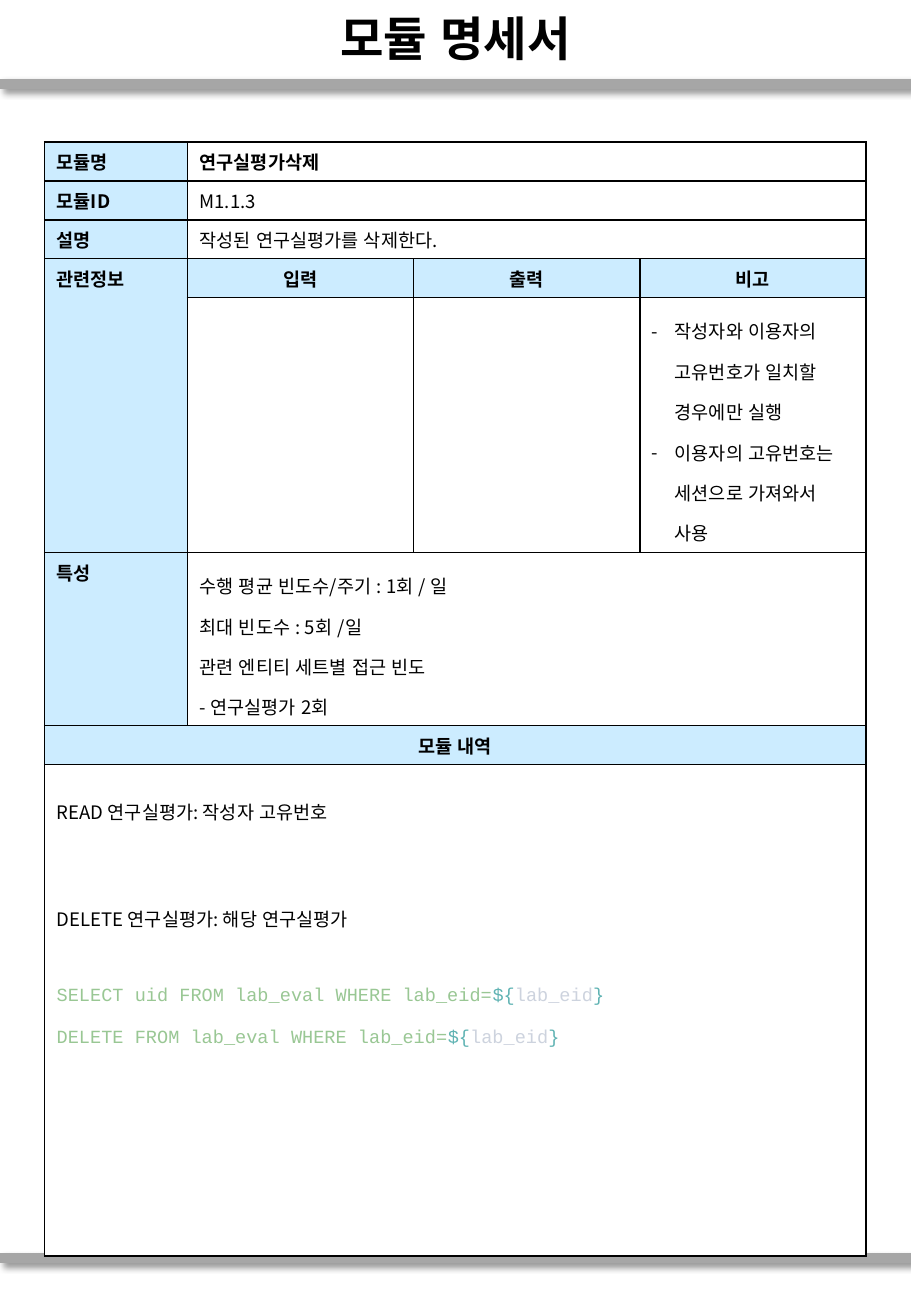
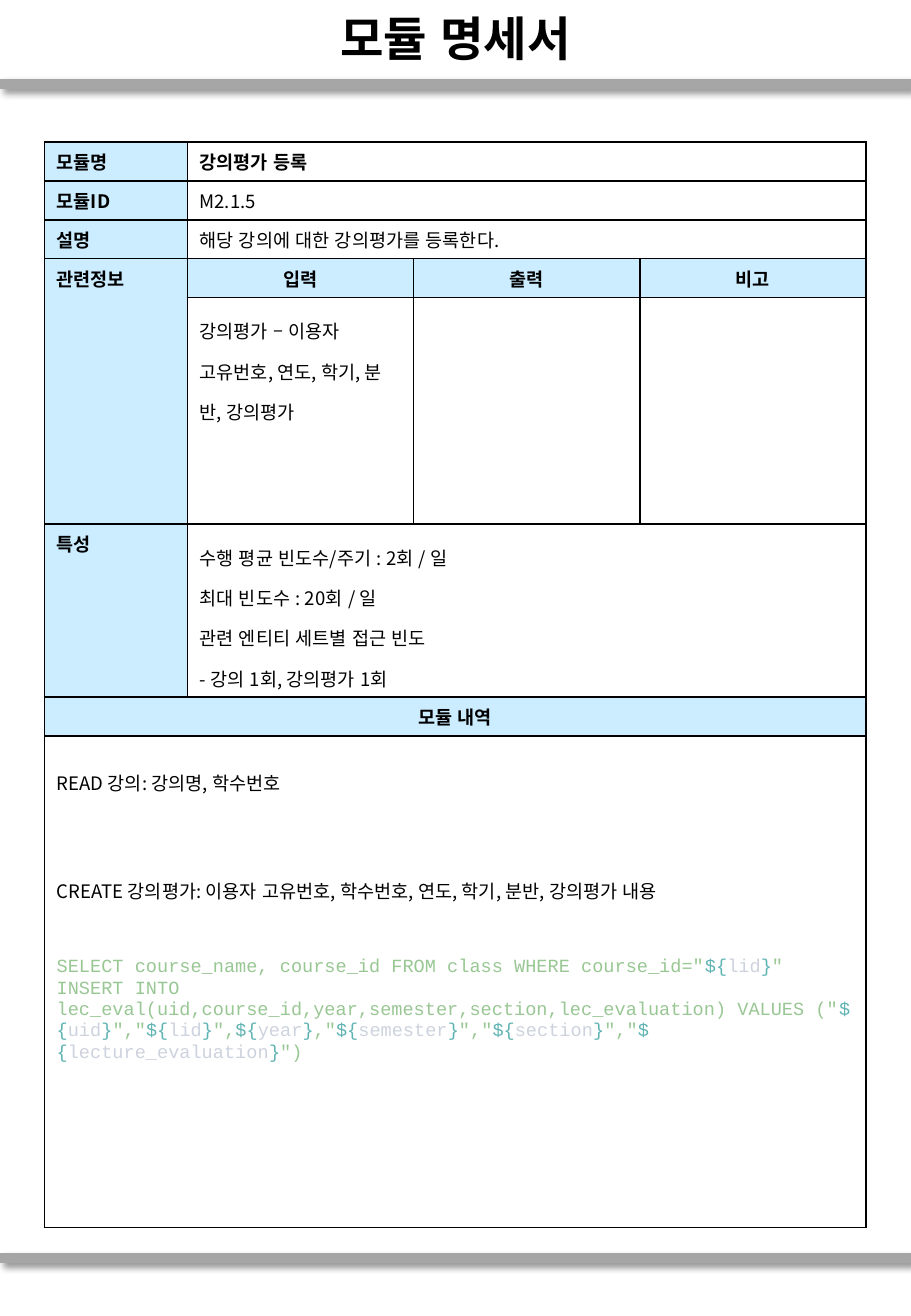
from dataclasses import dataclass

import pptx
import pptx.dml.color
import pptx.enum.lang
import pptx.enum.shapes
import pptx.enum.text
import pptx.oxml
import pptx.oxml.ns
import pptx.util

Pt = pptx.util.Pt
RGBColor = pptx.dml.color.RGBColor
Align = pptx.enum.text.PP_ALIGN
Anchor = pptx.enum.text.MSO_ANCHOR
KOREAN = pptx.enum.lang.MSO_LANGUAGE_ID.KOREAN

# Shared look
BLACK = RGBColor(0x00, 0x00, 0x00)
WHITE = RGBColor(0xFF, 0xFF, 0xFF)
BAND_GREY = RGBColor(0xA6, 0xA6, 0xA6)
LABEL_BLUE = RGBColor(0xCC, 0xEC, 0xFF)
CODE_GREEN = RGBColor(0x99, 0xC7, 0x94)
CODE_TEAL = RGBColor(0x5F, 0xB3, 0xB3)
CODE_GREY = RGBColor(0xCD, 0xD3, 0xDE)
FONT = "Noto Sans CJK KR"
CODE_FONT = "Courier New"
TEXT_SIZE = 11
SLIDE_W, SLIDE_H = 540, 779.76
BAND_YS = (49.7, 745.6)
TABLE_LEFT, TABLE_TOP = 26.4, 84.1
COL_WIDTHS = (84.7, 134.1, 134.1, 134.1)
LINE_ROW = 23.1
DOUBLE_LINE = 31.9  # one line at double spacing
CODE_LINE = 12.4
NS = pptx.oxml.ns.nsdecls("a")


@dataclass(frozen=True)
class Para:
    text: str
    bold: bool = False
    align: Align = Align.LEFT
    spacing: float = 1.0
    before: float = 0
    bullet: bool = False
    code: bool = False


@dataclass(frozen=True)
class Module:
    name: str
    code_id: str
    description: str
    info_height: float
    inputs: list[Para]
    outputs: list[Para]
    remarks: list[Para]
    traits: list[str]
    details: list[Para]


def step(text: str, before: float = 0) -> Para:
    return Para(text, spacing=2, before=before)


def code(text: str, before: float = 0) -> Para:
    return Para(text, before=before, code=True)


def label(text: str, align: Align = Align.LEFT) -> list[Para]:
    return [Para(text, bold=True, align=align)]


MODULES = [
    Module(
        "연구실평가삭제", "M1.1.3", "작성된 연구실평가를 삭제한다.",
        info_height=151,
        inputs=[], outputs=[],
        remarks=[
            Para("작성자와 이용자의 고유번호가 일치할 경우에만 실행", spacing=1.5, bullet=True),
            Para("이용자의 고유번호는 세션으로 가져와서 사용", spacing=1.5, bullet=True),
        ],
        traits=["수행 평균 빈도수/주기 : 1회 / 일", "최대 빈도수 : 5회 /일",
                "관련 엔티티 세트별 접근 빈도", "- 연구실평가 2회"],
        details=[
            step("READ 연구실평가: 작성자 고유번호"),
            step("DELETE 연구실평가: 해당 연구실평가", DOUBLE_LINE),
            code("SELECT uid FROM lab_eval WHERE lab_eid=${lab_eid}", DOUBLE_LINE),
            code("DELETE FROM lab_eval WHERE lab_eid=${lab_eid}", CODE_LINE),
        ],
    ),
    Module(
        "강의평가 등록", "M2.1.5", "해당 강의에 대한 강의평가를 등록한다.",
        info_height=134,
        inputs=[Para("강의평가 – 이용자 고유번호, 연도, 학기, 분반, 강의평가", spacing=1.5)],
        outputs=[], remarks=[],
        traits=["수행 평균 빈도수/주기 : 2회 / 일", "최대 빈도수 : 20회 / 일",
                "관련 엔티티 세트별 접근 빈도", "- 강의 1회, 강의평가 1회"],
        details=[
            step("READ 강의: 강의명, 학수번호"),
            step("CREATE 강의평가: 이용자 고유번호, 학수번호, 연도, 학기, 분반, 강의평가 내용",
                 DOUBLE_LINE),
            code('SELECT course_name, course_id FROM class WHERE course_id="${lid}"', DOUBLE_LINE),
            code("INSERT INTO lec_eval(uid,course_id,year,semester,section,lec_evaluation) "
                 'VALUES ("${uid}","${lid}",${year},"${semester}","${section}",'
                 '"${lecture_evaluation}")'),
        ],
    ),
]


# Text
def add_run(p, text: str, size: float, color: RGBColor = BLACK,
            bold: bool = False, font: str = FONT) -> None:
    r = p.add_run()
    r.text = text
    r.font.size = Pt(size)
    r.font.bold = bold
    r.font.name = font
    r.font.language_id = KOREAN
    r.font.color.rgb = color
    r.font._element.append(pptx.oxml.parse_xml(f'<a:ea {NS} typeface="{FONT}"/>'))


def split_code(text: str) -> list[tuple[str, RGBColor]]:
    """Colour each ${name} apart from the statement around it."""
    head, *rest = text.split("${")
    parts = [(head, CODE_GREEN)]
    for piece in rest:
        name, _, tail = piece.partition("}")
        parts += [("${", CODE_TEAL), (name, CODE_GREY), ("}", CODE_TEAL), (tail, CODE_GREEN)]
    return [part for part in parts if part[0]]


def write(tf, paras: list[Para], size: float = TEXT_SIZE) -> None:
    for i, para in enumerate(paras):
        p = tf.add_paragraph() if i else tf.paragraphs[0]
        if para.bullet:
            pPr = p._p.get_or_add_pPr()
            pPr.set("marL", str(Pt(13.5)))
            pPr.set("indent", str(-Pt(13.5)))
            pPr.append(pptx.oxml.parse_xml(f'<a:buFont {NS} typeface="{FONT}"/>'))
            pPr.append(pptx.oxml.parse_xml(f'<a:buChar {NS} char="-"/>'))
        p.alignment = para.align
        p.line_spacing = para.spacing
        if para.before:
            p.space_before = Pt(para.before)
        if para.code:
            for text, color in split_code(para.text):
                add_run(p, text, size, color, font=CODE_FONT)
        else:
            add_run(p, para.text, size, bold=para.bold)


# Title and bands
def add_band(s, y: float) -> None:
    band = s.shapes.add_connector(pptx.enum.shapes.MSO_CONNECTOR.STRAIGHT,
                                  Pt(0), Pt(y), Pt(SLIDE_W), Pt(y))
    band.line.color.rgb = BAND_GREY
    band.line.width = Pt(6)
    band._element.spPr.append(pptx.oxml.parse_xml(
        f'<a:effectLst {NS}><a:outerShdw blurRad="{Pt(4)}" dist="{Pt(3)}" dir="2700000" '
        'algn="tl" rotWithShape="0"><a:srgbClr val="000000"><a:alpha val="40000"/>'
        '</a:srgbClr></a:outerShdw></a:effectLst>'))


def add_frame(s) -> None:
    for y in BAND_YS:
        add_band(s, y)
    sp = s.shapes.add_textbox(Pt(0), Pt(0.7), Pt(SLIDE_W), Pt(43.2))
    tf = sp.text_frame
    tf.word_wrap = True
    tf.vertical_anchor = Anchor.MIDDLE
    write(tf, label("모듈 명세서", Align.CENTER), 28)


# Table
def style_cell(cell, fill: RGBColor) -> None:
    tcPr = cell._tc.get_or_add_tcPr()
    for side in ("lnL", "lnR", "lnT", "lnB"):
        tcPr.append(pptx.oxml.parse_xml(
            f'<a:{side} {NS} w="{Pt(1)}"><a:solidFill><a:srgbClr val="{BLACK}"/>'
            f'</a:solidFill></a:{side}>'))
    cell.fill.solid()
    cell.fill.fore_color.rgb = fill


def add_module_table(s, module: Module) -> None:
    heights = (LINE_ROW,) * 4 + (module.info_height, 102.6, LINE_ROW, 291.2)
    tbl = s.shapes.add_table(
        len(heights), len(COL_WIDTHS), Pt(TABLE_LEFT), Pt(TABLE_TOP),
        Pt(sum(COL_WIDTHS)), Pt(sum(heights))).table
    tbl.first_row = tbl.horz_banding = False
    for col, width in zip(tbl.columns, COL_WIDTHS):
        col.width = Pt(width)
    for row, height in zip(tbl.rows, heights):
        row.height = Pt(height)

    rows = [
        [label("모듈명"), label(module.name)],
        [label("모듈ID"), [Para(module.code_id)]],
        [label("설명"), [Para(module.description)]],
        [label("관련정보"), *(label(t, Align.CENTER) for t in ("입력", "출력", "비고"))],
        [[], module.inputs, module.outputs, module.remarks],
        [label("특성"), [Para(t, spacing=1.5) for t in module.traits]],
        [label("모듈 내역", Align.CENTER)],
        [module.details],
    ]
    head_row, info_row, section_row, detail_row = 3, 4, 6, 7
    last_col = len(COL_WIDTHS) - 1
    for i, contents in enumerate(rows):
        for j in range(len(COL_WIDTHS)):
            is_label = i in (head_row, section_row) or (j == 0 and i != detail_row)
            style_cell(tbl.cell(i, j), LABEL_BLUE if is_label else WHITE)
        if len(contents) <= last_col:
            tbl.cell(i, len(contents) - 1).merge(tbl.cell(i, last_col))
        for j, paras in enumerate(contents):
            write(tbl.cell(i, j).text_frame, paras)
    tbl.cell(head_row, 0).merge(tbl.cell(info_row, 0))


def main() -> None:
    prs = pptx.Presentation()
    prs.slide_width, prs.slide_height = Pt(SLIDE_W), Pt(SLIDE_H)
    for module in MODULES:
        s = prs.slides.add_slide(prs.slide_layouts[6])
        add_frame(s)
        add_module_table(s, module)
    prs.save("out.pptx")


if __name__ == "__main__":
    main()
